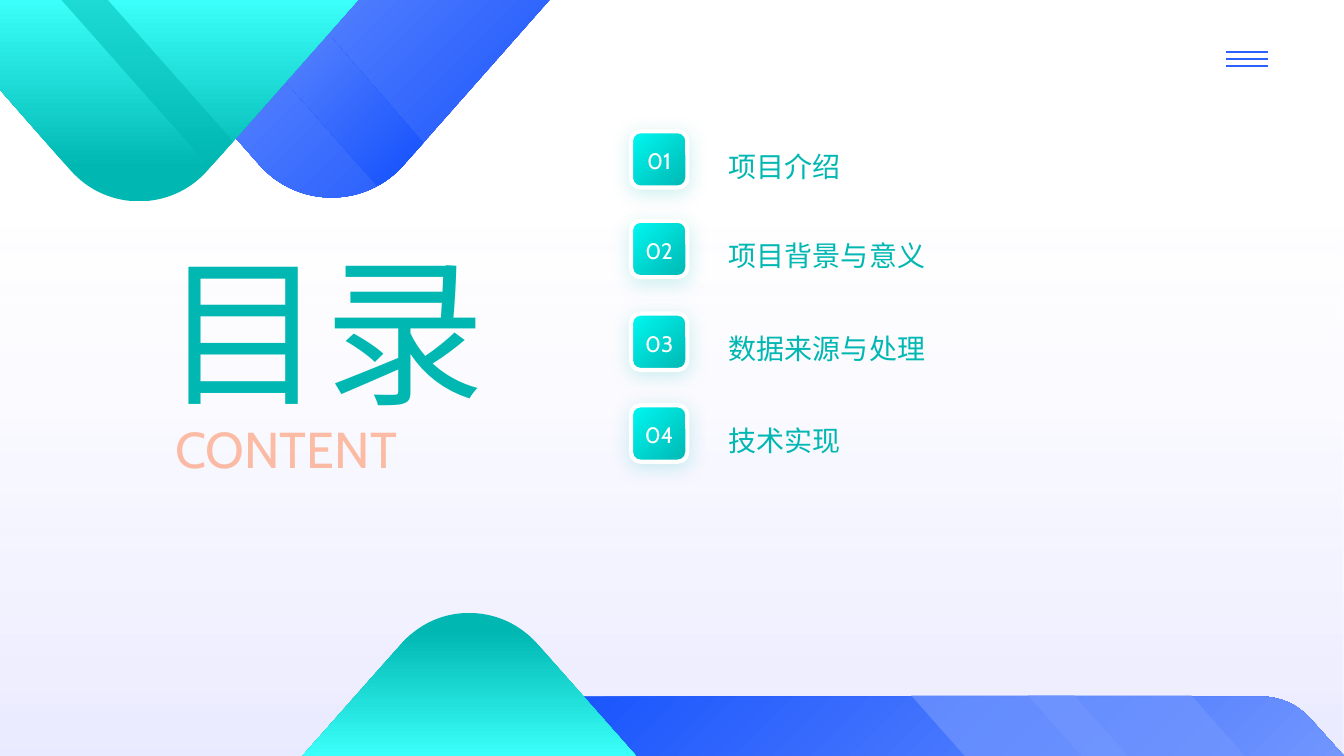
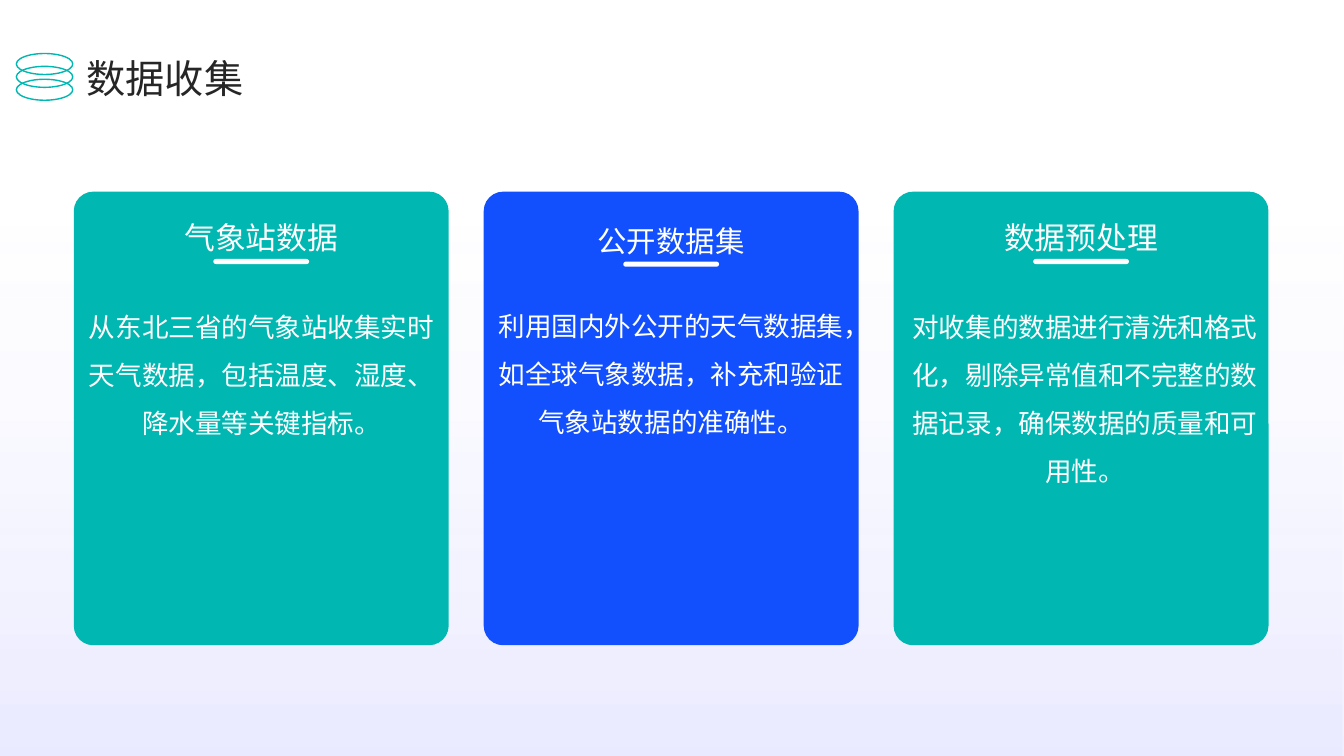
from lxml.etree import SubElement
from pptx import Presentation
from pptx.dml.color import RGBColor
from pptx.enum.shapes import MSO_CONNECTOR, MSO_SHAPE
from pptx.enum.text import MSO_ANCHOR, MSO_AUTO_SIZE, PP_ALIGN
from pptx.oxml import parse_xml
from pptx.oxml.ns import nsdecls, qn
from pptx.util import Pt

TEAL, BLUE, WHITE, INK = "00B7B2", "1350FD", "FFFFFF", "262626"
AQUA, PALE_BLUE, MENU_BLUE, ORANGE = "3BFFFA", "7196FE", "2B61FD", "FF7F4A"
HAN, LATIN = "Noto Sans CJK SC", "Cabin"


def paint(fill, *colours, stops=(0, 100), angle=0, alphas=(100, 100)):
    """One colour gives a solid fill, two give a gradient (angle counter-clockwise)."""
    if len(colours) == 2:
        fill.gradient()
        fill.gradient_angle = angle
        for stop, colour, position in zip(fill.gradient_stops, colours, stops):
            stop.color.rgb = RGBColor.from_string(colour)
            stop.position = position / 100
    else:
        fill.solid()
        fill.fore_color.rgb = RGBColor.from_string(colours[0])
    if min(alphas) < 100:
        tints = fill._xPr.findall("./*//" + qn("a:srgbClr"))
        for tint, alpha in zip(tints, alphas):
            SubElement(tint, qn("a:alpha"), val=str(alpha * 1000))


def write(shape, text, size, colour, font=HAN, anchor=MSO_ANCHOR.TOP,
          align=PP_ALIGN.LEFT, spacing=1.0, wrap=True):
    frame = shape.text_frame
    paragraph = frame.paragraphs[0]
    run = paragraph.add_run()
    run.text = text
    formats = [
        (frame, {"margin_left": 0, "margin_right": 0, "margin_top": 0,
                 "margin_bottom": 0, "word_wrap": wrap, "vertical_anchor": anchor,
                 "auto_size": MSO_AUTO_SIZE.NONE}),
        (paragraph, {"alignment": align, "line_spacing": spacing}),
        (run.font, {"size": Pt(size), "name": font}),
    ]
    for target, values in formats:
        for key, value in values.items():
            setattr(target, key, value)
    paint(run.font.fill, colour)
    SubElement(run._r.get_or_add_rPr(), qn("a:ea"), typeface=font)
    return run


# Shared page: size, layout, lilac haze behind everything
deck = Presentation()
deck.slide_width, deck.slide_height = Pt(960), Pt(540)
contents, collection = [deck.slides.add_slide(deck.slide_layouts[5]) for _ in range(2)]
for page in (contents, collection):
    haze = page.shapes.add_shape(MSO_SHAPE.RECTANGLE, 0, 0, deck.slide_width, deck.slide_height)
    haze.shadow.inherit = False
    haze.line.fill.background()
    paint(haze.fill, "BCBCFF", "7979FF", stops=(29, 100), angle=270, alphas=(0, 15))
    page.shapes.title._element.addprevious(haze._element)

# Slide 1: contents
shapes = contents.shapes
heading = shapes.title
heading.left, heading.top, heading.width, heading.height = Pt(114.2), Pt(165.4), Pt(234.7), Pt(115.2)
write(heading, "目录", 115, TEAL, align=PP_ALIGN.CENTER)

# Outlined subtitle
subtitle = shapes.add_textbox(Pt(125.3), Pt(298.5), Pt(211.7), Pt(36))
hollow = write(subtitle, "CONTENT", 36, ORANGE, font=LATIN, align=PP_ALIGN.JUSTIFY)
hollow.font.fill.background()
hollow._r.get_or_add_rPr().insert(0, parse_xml(
    f'<a:ln {nsdecls("a")} w="12700"><a:solidFill><a:srgbClr val="{ORANGE}">'
    '<a:alpha val="50000"/></a:srgbClr></a:solidFill></a:ln>'))

# Menu icon
for row in range(3):
    y = Pt(37.4 + 5 * row)
    menu_line = shapes.add_connector(MSO_CONNECTOR.STRAIGHT, Pt(876), y, Pt(905.6), y)
    menu_line.line.width = Pt(1.5)
    paint(menu_line.line.fill, MENU_BLUE)
    SubElement(menu_line._element.spPr, qn("a:effectLst"))

# Numbered chapters
chapters = [("项目介绍", 93.7), ("项目背景与意义", 157.7),
            ("数据来源与处理", 224), ("技术实现", 289.5)]
for number, (chapter, top) in enumerate(chapters, 1):
    label = shapes.add_textbox(Pt(520.6), Pt(top + 8.1), Pt(343.4), Pt(53.3))
    write(label, chapter, 20, TEAL, spacing=1.2)
    badge = shapes.add_shape(MSO_SHAPE.ROUNDED_RECTANGLE, Pt(450.7), Pt(top), Pt(40.3), Pt(40.3))
    paint(badge.fill, "00F8F2", TEAL, angle=315)
    paint(badge.line.fill, WHITE)
    badge.line.width = Pt(3)
    badge._element.spPr.append(parse_xml(
        f'<a:effectLst {nsdecls("a")}><a:outerShdw blurRad="{Pt(14)}" dist="{Pt(3)}" '
        f'dir="5400000" algn="t" rotWithShape="0"><a:srgbClr val="{TEAL}">'
        '<a:alpha val="20000"/></a:srgbClr></a:outerShdw></a:effectLst>'))
    write(badge, f"{number:02}", 16, WHITE, font=LATIN, anchor=MSO_ANCHOR.MIDDLE,
          align=PP_ALIGN.CENTER, spacing=1.1)

# Corner ornaments: pairs are corners, sextuples are Bézier curves
facet = [(851, 496.8), (889.2, 540), (772.6, 540), (734.4, 496.8)]
facet_paint = ((PALE_BLUE,), {"alphas": (70,)})
ornaments = [
    ([(81.4, 0), (392.4, 0), (288.7, 117.4), (261.4, 149, 212.4, 149, 185, 117.4)],
     (BLUE, PALE_BLUE), {"angle": 135}),
    ([(152.6, 0), (213.1, 0), (302.4, 102.2), (288.7, 117.4),
      (283.7, 123.1, 277.9, 128.2, 271.4, 131.8), (269.3, 132.5)],
     (BLUE, PALE_BLUE), {"angle": 135}),
    ([(0, 0), (255.6, 0), (148.3, 121.7), (122.4, 151.2, 76.3, 151.2, 50.4, 121.7), (0, 64.1)],
     (TEAL, AQUA), {"angle": 90, "stops": (16, 100)}),
    ([(43.9, 0), (77, 0), (166.3, 100.8), (149.8, 119.5)], (TEAL,), {"alphas": (50,)}),
    ([(400.3, 497.5), (900.7, 497.5), (914.4, 497.5, 927.4, 503.3, 936.7, 514.1),
      (960, 540), (362.9, 540)], (BLUE, PALE_BLUE), {"angle": 315}),
    (facet, *facet_paint),
    ([(x - 83.5, y) for x, y in facet], *facet_paint),
    ([(334.8, 437.8), (352.8, 437.8, 370.8, 445, 383.8, 460.1), (454.3, 540), (216, 540),
      (286.6, 460.1), (299.5, 445, 317.5, 437.8, 334.8, 437.8)],
     (TEAL, AQUA), {"angle": 270, "stops": (12, 100)}),
]
for outline, colours, options in ornaments:
    # Straight outline through the middle of each curve, which sets the bounds
    points = [outline[0]]
    for part in outline[1:]:
        if len(part) == 6:
            x0, y0 = points[-1]
            x1, y1, x2, y2, x3, y3 = part
            points.append(((x0 + 3 * x1 + 3 * x2 + x3) / 8, (y0 + 3 * y1 + 3 * y2 + y3) / 8))
        points.append(part[-2:])
    corners = [(Pt(x), Pt(y)) for x, y in points]
    builder = shapes.build_freeform(*corners[0])
    builder.add_line_segments(corners[1:], close=True)
    ornament = builder.convert_to_shape()

    # Each pair of chords becomes one curve
    segments = iter(ornament._element.findall(".//" + qn("a:lnTo")))
    for part in outline[1:]:
        segment = next(segments)
        if len(part) == 6:
            chord = next(segments)
            chord.getparent().remove(chord)
            controls = "".join(
                f'<a:pt x="{Pt(x) - ornament.left}" y="{Pt(y) - ornament.top}"/>'
                for x, y in zip(part[::2], part[1::2]))
            curve = parse_xml(f'<a:cubicBezTo {nsdecls("a")}>{controls}</a:cubicBezTo>')
            segment.getparent().replace(segment, curve)
    ornament.shadow.inherit = False
    ornament.line.fill.background()
    paint(ornament.fill, *colours, **options)

# Slide 2: data collection
shapes = collection.shapes
heading = shapes.title
heading.left, heading.top, heading.width, heading.height = Pt(61.9), Pt(35.3), Pt(840.2), Pt(36.7)
write(heading, "数据收集", 28, INK, anchor=MSO_ANCHOR.MIDDLE, spacing=1.1)

# Cards: colour, topic, topic size, topic drop, text left and top, text
cards = [
    (TEAL, "气象站数据", 22, 0, 7, 210.8,
     "从东北三省的气象站收集实时天气数据，包括温度、湿度、降水量等关键指标。"),
    (BLUE, "公开数据集", 21, 1.9, 6.8, 210.2,
     "利用国内外公开的天气数据集，如全球气象数据，补充和验证气象站数据的准确性。"),
    (TEAL, "数据预处理", 22, 0, 9.6, 210.8,
     "对收集的数据进行清洗和格式化，剔除异常值和不完整的数据记录，确保数据的质量和可用性。"),
]
for index, (colour, topic, size, drop, indent, text_top, text) in enumerate(cards):
    left = 52.7 + 292.8 * index
    card = shapes.add_shape(MSO_SHAPE.ROUNDED_RECTANGLE, Pt(left), Pt(136.9), Pt(267.8), Pt(324))
    underline = shapes.add_shape(MSO_SHAPE.ROUNDED_RECTANGLE,
                                 Pt(left + 99.7), Pt(185 + drop), Pt(68.4), Pt(3.6))
    for panel, colour_used, rounding in ((card, colour, 0.052), (underline, WHITE, 0.5)):
        panel.adjustments[0] = rounding
        panel.shadow.inherit = False
        panel.line.fill.background()
        paint(panel.fill, colour_used)
    details = shapes.add_textbox(Pt(left + indent), Pt(text_top), Pt(254.2), Pt(264.2))
    write(details, text, 19, WHITE, align=PP_ALIGN.CENTER, spacing=1.5)
    caption = shapes.add_textbox(Pt(left + 6.8), Pt(145.8 + drop), Pt(254.2), Pt(36.7))
    write(caption, topic, size, WHITE, anchor=MSO_ANCHOR.BOTTOM, align=PP_ALIGN.CENTER,
          spacing=1.2, wrap=False)

# Stacked rings beside the title
rings = shapes.add_group_shape()
for level in range(3):
    ring = rings.shapes.add_shape(MSO_SHAPE.OVAL, Pt(11.7), Pt(56.6 - 9.2 * level), Pt(40.3), Pt(15))
    ring.shadow.inherit = False
    ring.fill.background()
    ring.line.width = Pt(1)
    paint(ring.line.fill, TEAL)

deck.save("out.pptx")
